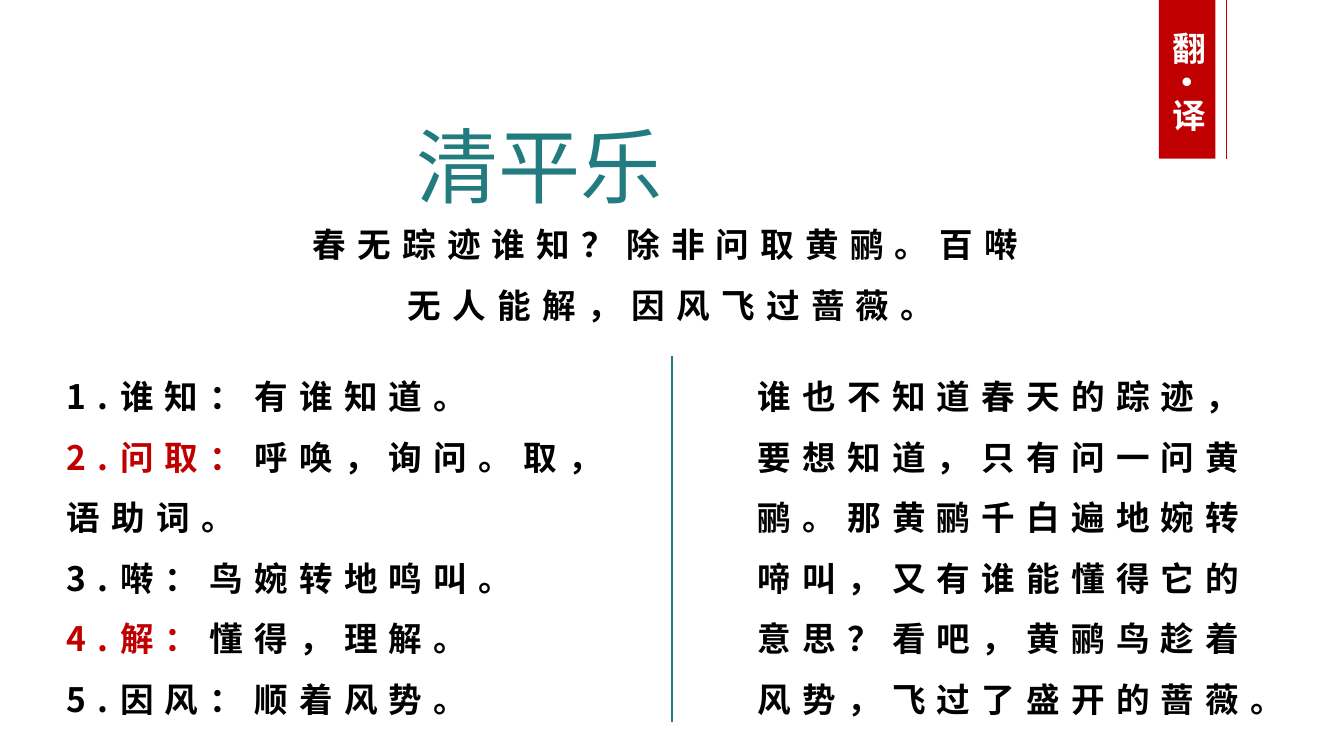
import pptx
import pptx.dml.color
import pptx.enum.shapes
import pptx.enum.text
import pptx.oxml.ns
import pptx.util
from lxml import etree

Pt = pptx.util.Pt
ALIGN = pptx.enum.text.PP_ALIGN
COLORS = {"ink": "000000", "red": "C00000", "teal": "227C7F", "white": "FFFFFF"}


class SlideBuilder:
    """Hold the style and the current slide, and add each kind of element."""

    body_font = "Noto Sans CJK SC"
    title_font = "Noto Sans CJK JP"
    body_size = 18

    def __init__(self, slide):
        self.slide = slide
        self.shapes = slide.shapes

    def color(self, name):
        return pptx.dml.color.RGBColor.from_string(COLORS[name])

    def group(self):
        return self.slide.shapes.add_group_shape().shapes

    def text(self, box, paragraphs, align=ALIGN.LEFT, font=None, size=None,
             bold=True, tracking=6, line_spacing=1.5, vertical=False):
        textbox = self.shapes.add_textbox(*map(Pt, box))
        frame = textbox.text_frame
        frame.word_wrap = True
        frame.auto_size = pptx.enum.text.MSO_AUTO_SIZE.SHAPE_TO_FIT_TEXT
        if vertical:
            frame._txBody.bodyPr.set("vert", "eaVert")
        for index, runs in enumerate(paragraphs):
            paragraph = frame.add_paragraph() if index else frame.paragraphs[0]
            paragraph.alignment = align
            paragraph.line_spacing = line_spacing
            for words, color in runs:
                self.run(paragraph, words, color, font or self.body_font,
                         size or self.body_size, bold, tracking)

    def run(self, paragraph, words, color, font, size, bold, tracking):
        run = paragraph.add_run()
        run.text = words
        run.font.size = Pt(size)
        run.font.bold = bold
        run.font.name = font
        run.font.color.rgb = self.color(color)
        properties = run._r.get_or_add_rPr()
        properties.set("spc", str(tracking * 100))
        east_asian = etree.SubElement(properties, pptx.oxml.ns.qn("a:ea"))
        east_asian.set("typeface", font)

    def rectangle(self, box, color):
        rectangle = self.shapes.add_shape(
            pptx.enum.shapes.MSO_SHAPE.RECTANGLE, *map(Pt, box))
        rectangle.shadow.inherit = False
        rectangle.fill.solid()
        rectangle.fill.fore_color.rgb = self.color(color)
        rectangle.line.fill.background()

    def vertical_line(self, x, top, bottom, color):
        line = self.shapes.add_connector(
            pptx.enum.shapes.MSO_CONNECTOR.STRAIGHT,
            Pt(x), Pt(top), Pt(x), Pt(bottom))
        line.line.color.rgb = self.color(color)
        line.line.width = Pt(0.75)
        etree.SubElement(line._element.spPr, pptx.oxml.ns.qn("a:effectLst"))


def main():
    presentation = pptx.Presentation()
    presentation.slide_width = Pt(720)
    presentation.slide_height = Pt(405)
    builder = SlideBuilder(
        presentation.slides.add_slide(presentation.slide_layouts[6]))

    poem = "春无踪迹谁知？除非问取黄鹂。百啭无人能解，因风飞过蔷薇。"
    notes = [
        [("1.谁知：有谁知道。", "ink")],
        [("2.问取：", "red"), ("呼唤，询问。取，语助词。", "ink")],
        [("3.啭：鸟婉转地鸣叫。", "ink")],
        [("4.解：", "red"), ("懂得，理解。", "ink")],
        [("5.因风：顺着风势。", "ink")],
    ]
    translation = (
        "谁也不知道春天的踪迹，要想知道，只有问一问黄鹂。"
        "那黄鹂千白遍地婉转啼叫，又有谁能懂得它的意思？"
        "看吧，黄鹂鸟趁着风势，飞过了盛开的蔷薇。")

    builder.text((149, 105.8, 421.2, 72.7), [[(poem, "ink")]], ALIGN.CENTER)
    builder.text((28.8, 187.2, 288.7, 203.8), notes)
    builder.text((398.9, 187.2, 288, 203.8), [[(translation, "ink")]])
    builder.text((216, 58.3, 288.7, 60.5), [[("清平乐", "teal")]],
                 ALIGN.JUSTIFY, builder.title_font, 44, False, 0, 1)

    builder.shapes = builder.group()
    builder.rectangle((620.8, 0, 30.4, 85), "red")
    builder.vertical_line(657.2, 0, 85, "red")
    builder.text((614.9, 10.1, 36, 77), [[("翻·译", "white")]], ALIGN.CENTER,
                 tracking=0, line_spacing=1, vertical=True)

    builder.shapes = builder.slide.shapes
    builder.vertical_line(360, 190.8, 386.6, "teal")
    presentation.save("out.pptx")


if __name__ == "__main__":
    main()
